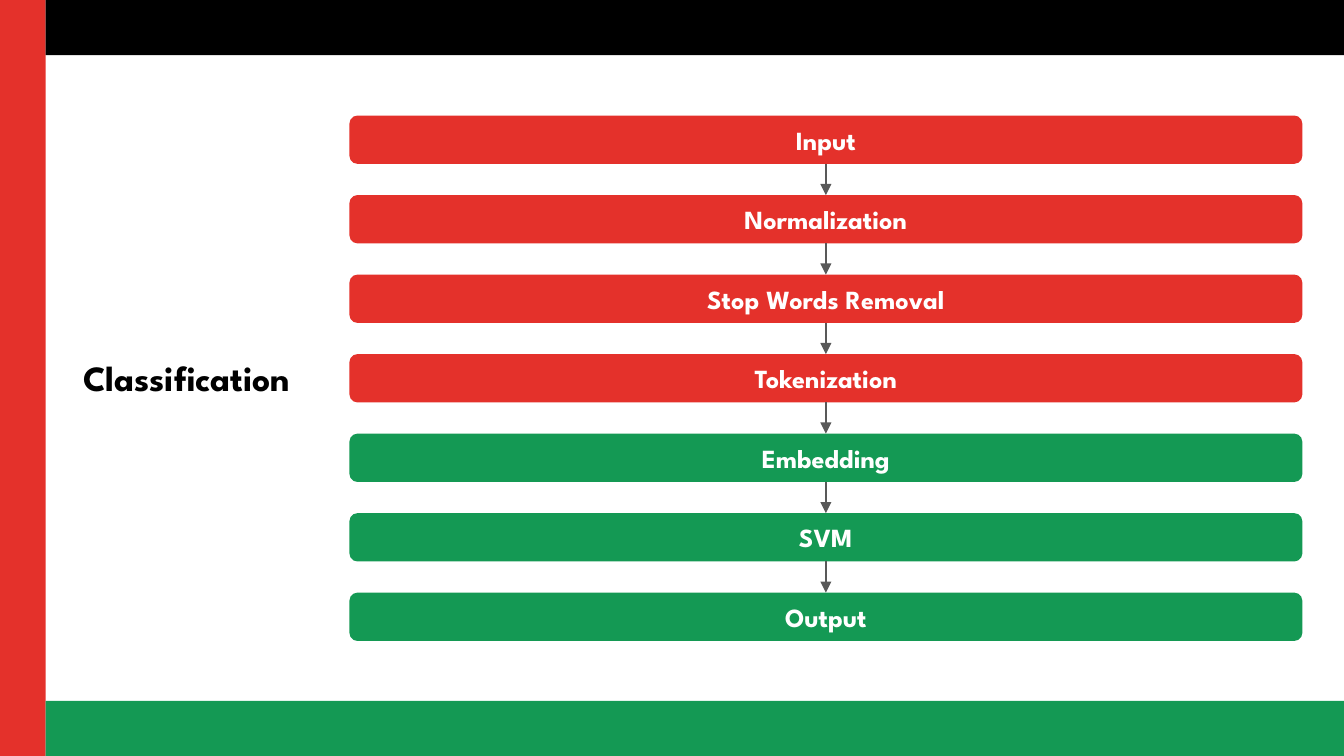
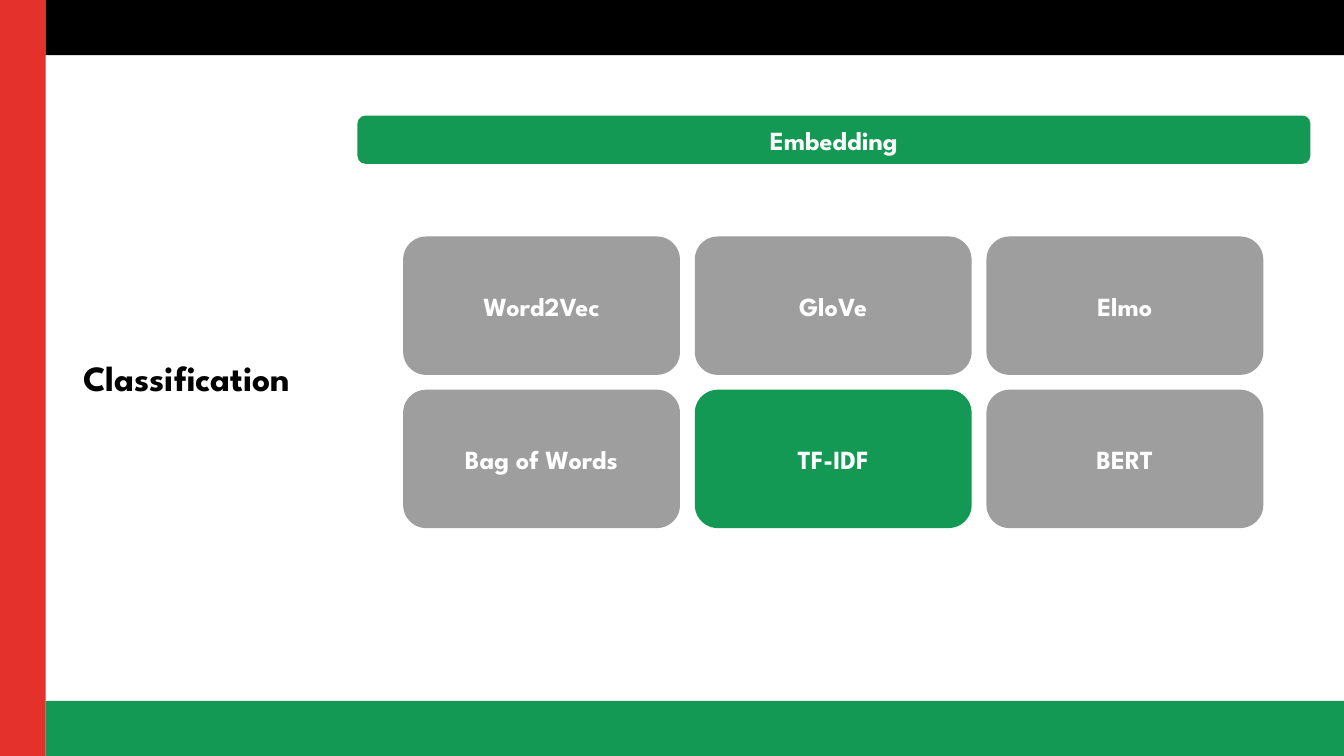
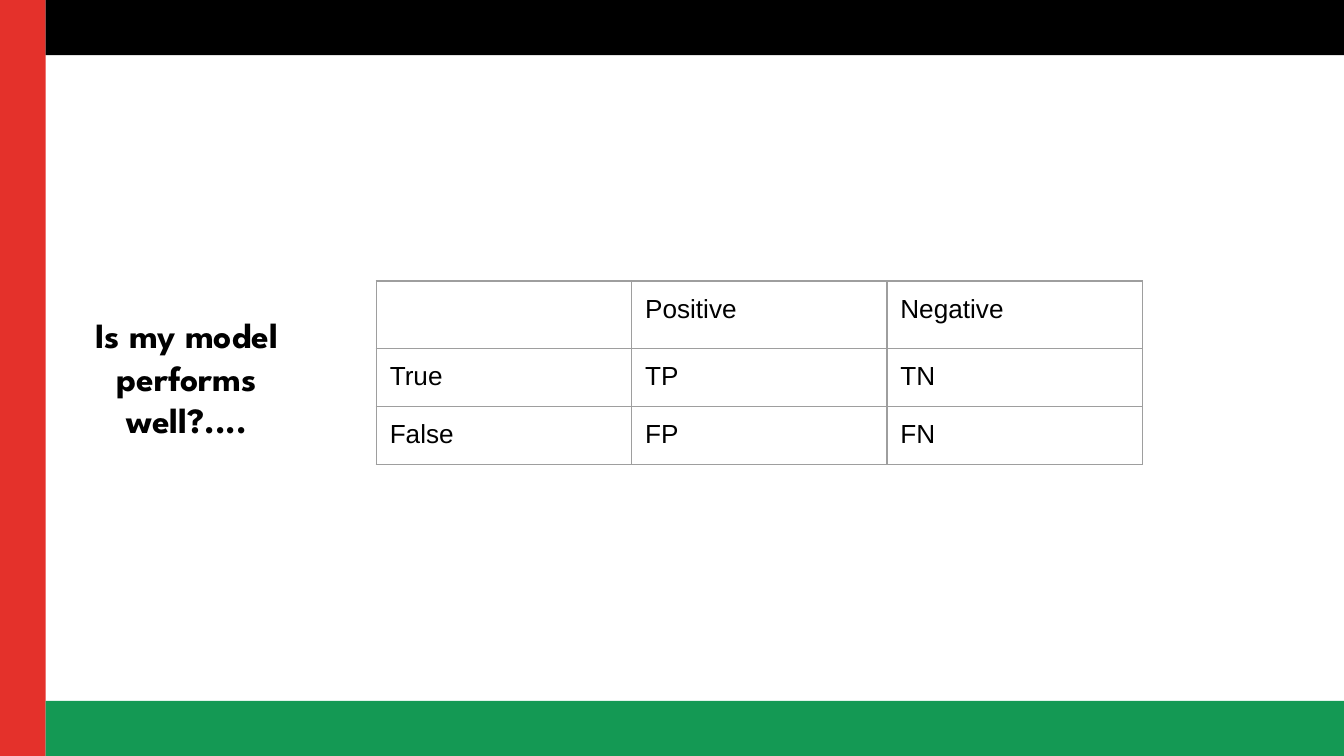
import pptx
import pptx.util
import pptx.dml.color
import pptx.enum.shapes
import pptx.enum.text
import pptx.oxml
import pptx.oxml.ns
from pptx.util import Inches

RGB = pptx.dml.color.RGBColor
SHAPE = pptx.enum.shapes.MSO_SHAPE
ALIGN = pptx.enum.text.PP_ALIGN
ANCHOR = pptx.enum.text.MSO_ANCHOR

RED = RGB(0xE4, 0x31, 0x2B)
GREEN = RGB(0x14, 0x99, 0x54)
BLACK = RGB(0, 0, 0)
WHITE = RGB(0xFF, 0xFF, 0xFF)
GRAY = RGB(0x9E, 0x9E, 0x9E)
ARROW_GRAY = RGB(0x59, 0x59, 0x59)
HEAD_FONT = "League Spartan"
BODY_FONT = "Arial"

STEPS = [
    ("Input", RED),
    ("Normalization", RED),
    ("Stop Words Removal", RED),
    ("Tokenization", RED),
    ("Embedding", GREEN),
    ("SVM", GREEN),
    ("Output", GREEN),
]
METHODS = [
    ["Word2Vec", "GloVe", "Elmo"],
    ["Bag of Words", "TF-IDF", "BERT"],
]
CHOSEN_METHOD = "TF-IDF"
OUTCOMES = [
    ["", "Positive", "Negative"],
    ["True", "TP", "TN"],
    ["False", "FP", "FN"],
]

SLIDE_W = 10
SLIDE_H = SLIDE_W * 9 / 16
SIDE_W, BAND_H = 0.34, 0.41
BANDS = [
    (0, 0, SIDE_W, SLIDE_H, RED),
    (SIDE_W, 0, SLIDE_W - SIDE_W, BAND_H, BLACK),
    (SIDE_W, SLIDE_H - BAND_H, SLIDE_W - SIDE_W, BAND_H, GREEN),
]
BAR_TOP, BAR_LAST_TOP, BAR_W, BAR_H = 0.86, 4.41, 7.09, 0.36
BAR_STEP = (BAR_LAST_TOP - BAR_TOP) / (len(STEPS) - 1)


def write(tf, text, size=14, font=HEAD_FONT, color=WHITE, bold=True, align=ALIGN.CENTER):
    tf.word_wrap = True
    p = tf.paragraphs[0]
    p.alignment = align
    r = p.add_run()
    r.text = text
    r.font.size = pptx.util.Pt(size)
    r.font.name = font
    r.font.bold = bold
    r.font.color.rgb = color


def set_insets(box):
    """Give a text frame or table cell the shared inner margin."""
    box.margin_left = box.margin_right = Inches(0.1)
    box.margin_top = box.margin_bottom = Inches(0.1)


def add_block(s, x, y, w, h, fill, kind=SHAPE.RECTANGLE):
    sp = s.shapes.add_shape(kind, Inches(x), Inches(y), Inches(w), Inches(h))
    sp.shadow.inherit = False
    sp.fill.solid()
    sp.fill.fore_color.rgb = fill
    sp.line.fill.background()
    return sp


def add_label(s, text, x, y, w, h, fill):
    """Add a rounded box with centred text."""
    sp = add_block(s, x, y, w, h, fill, SHAPE.ROUNDED_RECTANGLE)
    set_insets(sp.text_frame)
    sp.text_frame.vertical_anchor = ANCHOR.MIDDLE
    write(sp.text_frame, text)
    return sp


def add_arrow(s, upper, lower):
    c = s.shapes.add_connector(pptx.enum.shapes.MSO_CONNECTOR.STRAIGHT, 0, 0, 0, 0)
    c.begin_connect(upper, 2)
    c.end_connect(lower, 0)
    c.line.color.rgb = ARROW_GRAY
    c.line.width = pptx.util.Pt(0.75)
    tail = pptx.oxml.parse_xml(f'<a:tailEnd {pptx.oxml.ns.nsdecls("a")} type="triangle"/>')
    c.line._get_or_add_ln().append(tail)
    c._element.spPr.append(pptx.oxml.parse_xml(f'<a:effectLst {pptx.oxml.ns.nsdecls("a")}/>'))


def set_borders(cell):
    tcPr = cell._tc.get_or_add_tcPr()
    for i, side in enumerate("LRTB"):
        tcPr.insert(i, pptx.oxml.parse_xml(
            f'<a:ln{side} {pptx.oxml.ns.nsdecls("a")} w="{pptx.util.Pt(0.75)}">'
            f'<a:solidFill><a:srgbClr val="{GRAY}"/></a:solidFill></a:ln{side}>'))


def add_slide(prs, title):
    """Add a blank slide with the bands and the side title."""
    s = prs.slides.add_slide(prs.slide_layouts[6])
    for band in BANDS:
        add_block(s, *band)
    tf = s.shapes.add_textbox(Inches(0.44), Inches(0.73), Inches(1.9), Inches(4.15)).text_frame
    set_insets(tf)
    tf.vertical_anchor = ANCHOR.MIDDLE
    write(tf, title, size=19, color=BLACK)
    return s


def build_pipeline(prs):
    s = add_slide(prs, "Classification")
    bars = [add_label(s, text, 2.6, BAR_TOP + i * BAR_STEP, BAR_W, BAR_H, fill)
            for i, (text, fill) in enumerate(STEPS)]
    for upper, lower in zip(bars, bars[1:]):
        add_arrow(s, upper, lower)


def build_embedding(prs):
    s = add_slide(prs, "Classification")
    add_label(s, "Embedding", 2.66, BAR_TOP, BAR_W, BAR_H, GREEN)
    for row, names in enumerate(METHODS):
        for col, name in enumerate(names):
            fill = GREEN if name == CHOSEN_METHOD else GRAY
            add_label(s, name, 3 + col * 2.17, 1.76 + row * 1.14, 2.06, 1.03, fill)


def build_outcomes(prs):
    s = add_slide(prs, "Is my model performs well?....")
    rows, cols = len(OUTCOMES), len(OUTCOMES[0])
    table = s.shapes.add_table(rows, cols, Inches(2.8), Inches(2.09),
                               Inches(1.9 * cols), Inches(0.4 * rows)).table
    table.first_row = table.horz_banding = False
    for i, values in enumerate(OUTCOMES):
        for j, value in enumerate(values):
            cell = table.cell(i, j)
            set_insets(cell)
            cell.fill.background()
            set_borders(cell)
            if value:
                write(cell.text_frame, value, font=BODY_FONT, color=BLACK,
                      bold=False, align=ALIGN.LEFT)


def main():
    prs = pptx.Presentation()
    prs.slide_width, prs.slide_height = Inches(SLIDE_W), Inches(SLIDE_H)
    build_pipeline(prs)
    build_embedding(prs)
    build_outcomes(prs)
    prs.save("out.pptx")


if __name__ == "__main__":
    main()
